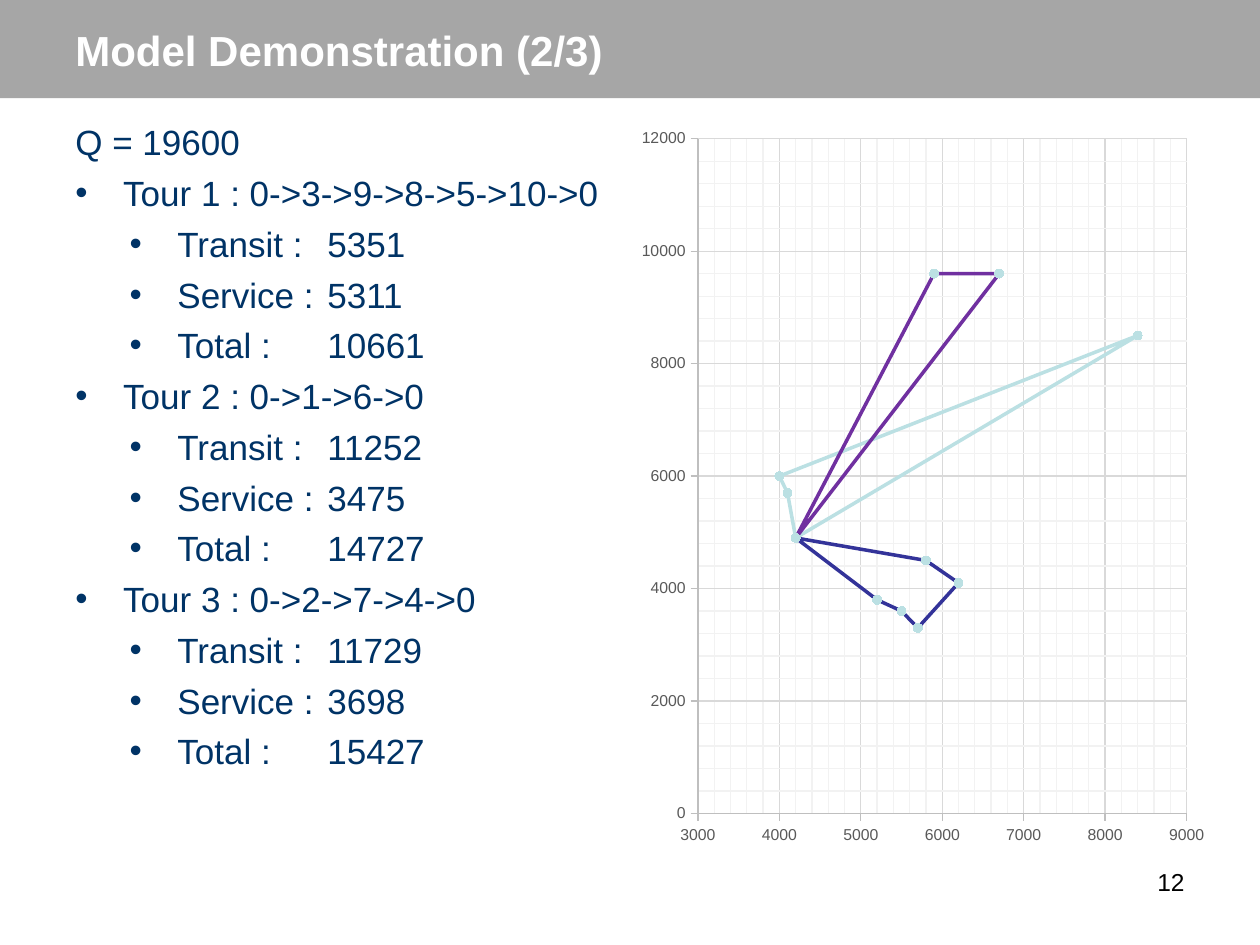
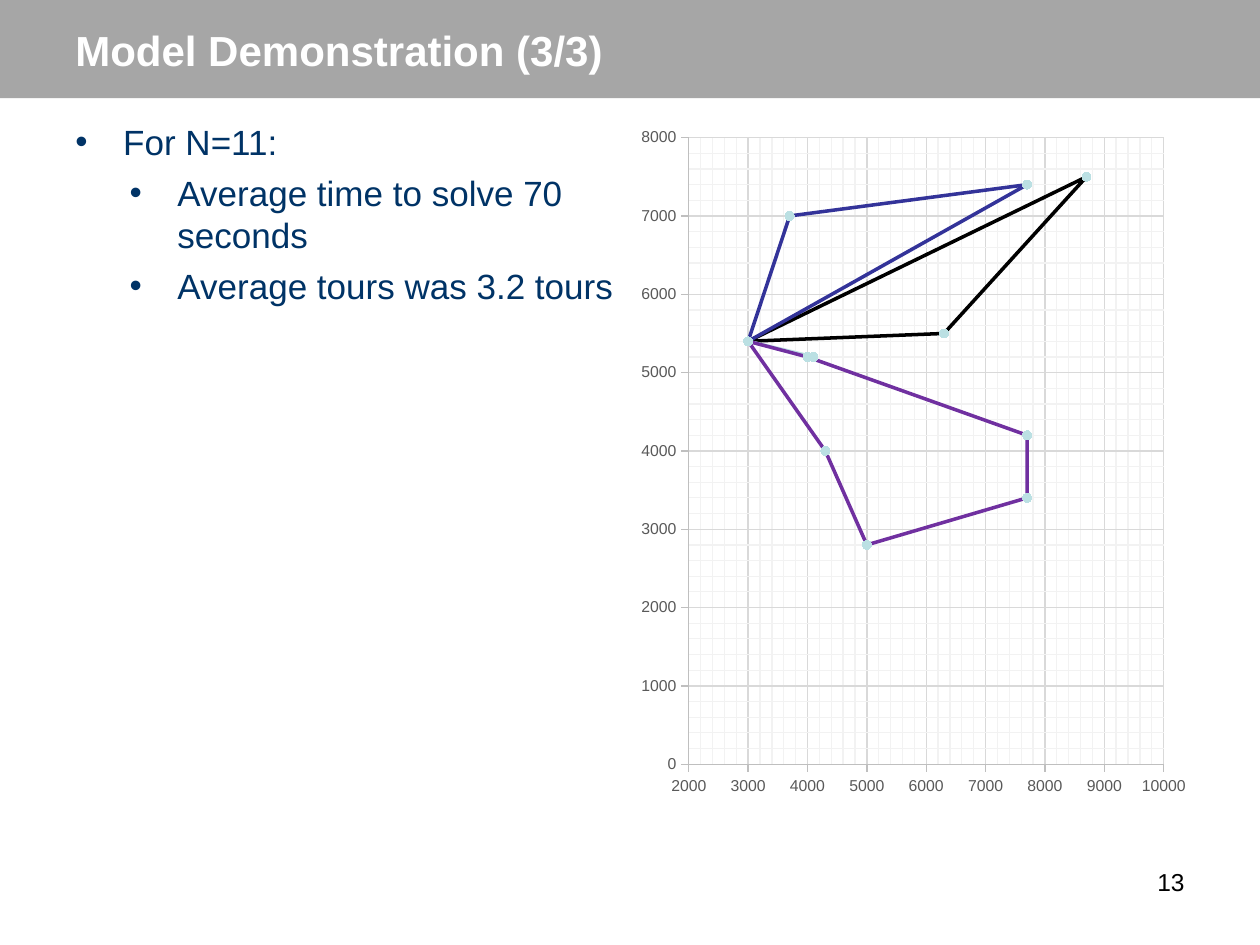
from lxml.etree import SubElement
from pptx import Presentation
from pptx.chart.data import XyChartData
from pptx.dml.color import RGBColor
from pptx.enum.chart import XL_CHART_TYPE, XL_MARKER_STYLE, XL_TICK_MARK
from pptx.enum.shapes import MSO_SHAPE
from pptx.enum.text import MSO_ANCHOR, PP_ALIGN
from pptx.oxml.ns import qn
from pptx.util import Inches, Pt

WHITE = RGBColor(0xFF, 0xFF, 0xFF)
BLACK = RGBColor(0, 0, 0)
BAND = RGBColor(0xA6, 0xA6, 0xA6)
NAVY = RGBColor(0x00, 0x33, 0x66)
AQUA = RGBColor(0xBB, 0xE0, 0xE3)
INDIGO = RGBColor(0x33, 0x33, 0x99)
PURPLE = RGBColor(0x70, 0x30, 0xA0)
AXIS_TEXT = RGBColor(0x59, 0x59, 0x59)
AXIS_LINE = RGBColor(0xBF, 0xBF, 0xBF)
GRID = RGBColor(0xD9, 0xD9, 0xD9)
MINOR_GRID = RGBColor(0xF2, 0xF2, 0xF2)
TOUR_COLORS = [INDIGO, PURPLE, AQUA, BLACK]
FONT = "Arial"


class Deck:
    def __init__(self):
        self.prs = Presentation()
        self.prs.slide_width = Inches(10)
        self.prs.slide_height = Inches(7.5)
        self.s = None

    def slide(self, title, number):
        self.s = self.prs.slides.add_slide(self.prs.slide_layouts[6])
        self.band()
        tf = self.text_frame(0.5, 0.08, 9, 0.63)
        tf.vertical_anchor = MSO_ANCHOR.MIDDLE
        self.run(tf.paragraphs[0], title, 24, WHITE, bold=True)
        p = self.text_frame(7.17, 6.83, 2.33, 0.52).paragraphs[0]
        p.alignment = PP_ALIGN.RIGHT
        self.run(p, str(number), 14, BLACK)

    def band(self):
        sp = self.s.shapes.add_shape(
            MSO_SHAPE.RECTANGLE, 0, 0, Inches(10), Inches(0.78))
        sp.shadow.inherit = False
        sp.fill.solid()
        sp.fill.fore_color.rgb = BAND
        sp.line.fill.background()

    def text_frame(self, left, top, width, height):
        sp = self.s.shapes.add_textbox(
            Inches(left), Inches(top), Inches(width), Inches(height))
        tf = sp.text_frame
        tf.word_wrap = True
        return tf

    def run(self, p, text, size, color, bold=False):
        r = p.add_run()
        r.text = text
        r.font.name = FONT
        r.font.size = Pt(size)
        r.font.bold = bold
        r.font.color.rgb = color

    def outline(self, items):
        tf = self.text_frame(0.5, 0.91, 4.5, 5.51)
        for i, (level, text) in enumerate(items):
            p = tf.add_paragraph() if i else tf.paragraphs[0]
            p.space_before = Pt(5)
            if level is not None:
                self.bullet(p, level)
            self.run(p, text, 20, NAVY)

    def bullet(self, p, level):
        p.level = level
        pPr = p._p.get_or_add_pPr()
        pPr.set("marL", str(Inches([0.38, 0.81][level])))
        pPr.set("indent", str(Inches(-0.38)))
        SubElement(pPr, qn("a:buFont")).set("typeface", FONT)
        SubElement(pPr, qn("a:buChar")).set("char", "•")

    def tour_chart(self, width, height, stops, tours, x_scale, y_scale):
        data = XyChartData()
        routes = [range(len(stops))] + tours
        for n, route in enumerate(routes, 1):
            series = data.add_series(f"Series {n}")
            for stop in route:
                series.add_data_point(*stops[stop])
        chart = self.s.shapes.add_chart(
            XL_CHART_TYPE.XY_SCATTER, Inches(5), Inches(0.91),
            Inches(width), Inches(height), data).chart
        chart.has_legend = False
        chart.has_title = False
        chart.font.name = FONT
        chart.font.size = Pt(10)
        chart.font.color.rgb = BLACK
        plot = chart.plots[0]
        plot.vary_by_categories = False
        points, *lines = plot.series
        self.stop_markers(points)
        for series, color in zip(lines, TOUR_COLORS):
            series.smooth = False
            series.marker.style = XL_MARKER_STYLE.NONE
            series.format.line.color.rgb = color
            series.format.line.width = Pt(2)
        self.axis(chart.category_axis, *x_scale)
        self.axis(chart.value_axis, *y_scale)

    def stop_markers(self, series):
        series.smooth = False
        series.format.line.fill.background()
        marker = series.marker
        marker.style = XL_MARKER_STYLE.CIRCLE
        marker.size = 5
        marker.format.fill.solid()
        marker.format.fill.fore_color.rgb = AQUA
        marker.format.line.color.rgb = AQUA

    def axis(self, axis, low, high, step):
        axis.minimum_scale = low
        axis.maximum_scale = high
        axis.major_unit = step
        axis.minor_unit = step / 5
        axis.major_tick_mark = XL_TICK_MARK.OUTSIDE
        axis.minor_tick_mark = XL_TICK_MARK.NONE
        font = axis.tick_labels.font
        font.name = FONT
        font.size = Pt(9)
        font.color.rgb = AXIS_TEXT
        axis.has_major_gridlines = True
        axis.has_minor_gridlines = True
        for part, color in ((axis, AXIS_LINE), (axis.major_gridlines, GRID)):
            part.format.line.color.rgb = color
            part.format.line.width = Pt(0.75)
        minor = axis._element.find(qn("c:minorGridlines"))
        ln = SubElement(SubElement(minor, qn("c:spPr")), qn("a:ln"))
        ln.set("w", str(Pt(0.75)))
        fill = SubElement(ln, qn("a:solidFill"))
        SubElement(fill, qn("a:srgbClr")).set("val", str(MINOR_GRID))


def tour_outline(capacity, tours, times):
    items = [(None, f"Q = {capacity}")]
    for n, (tour, values) in enumerate(zip(tours, times), 1):
        items.append((0, f"Tour {n} : " + "->".join(map(str, tour))))
        for label, value in zip(("Transit", "Service", "Total"), values):
            items.append((1, f"{label} : \t{value}"))
    return items


def main():
    deck = Deck()

    deck.slide("Model Demonstration (2/3)", 12)
    stops = [(4200, 4900), (5900, 9600), (8400, 8500), (5200, 3800),
             (4100, 5700), (6200, 4100), (6700, 9600), (4000, 6000),
             (5700, 3300), (5500, 3600), (5800, 4500)]
    tours = [[0, 3, 9, 8, 5, 10, 0], [0, 1, 6, 0], [0, 2, 7, 4, 0]]
    times = [(5351, 5311, 10661), (11252, 3475, 14727), (11729, 3698, 15427)]
    deck.outline(tour_outline(19600, tours, times))
    deck.tour_chart(4.65, 5.91, stops, tours,
                    (3000, 9000, 1000), (0, 12000, 2000))

    deck.slide("Model Demonstration (3/3)", 13)
    stops = [(3000, 5400), (7700, 7400), (4100, 5200), (7700, 3400),
             (7700, 4200), (8700, 7500), (5000, 2800), (4000, 5200),
             (6300, 5500), (3700, 7000), (4300, 4000)]
    tours = [[0, 1, 9, 0], [0, 10, 6, 3, 4, 7, 0], [0, 2, 0], [0, 8, 5, 0]]
    deck.outline([(0, "For N=11:"),
                  (1, "Average time to solve 70 seconds"),
                  (1, "Average tours was 3.2 tours")])
    deck.tour_chart(4.5, 5.51, stops, tours,
                    (2000, 10000, 1000), (0, 8000, 1000))

    deck.prs.save("out.pptx")


if __name__ == "__main__":
    main()
